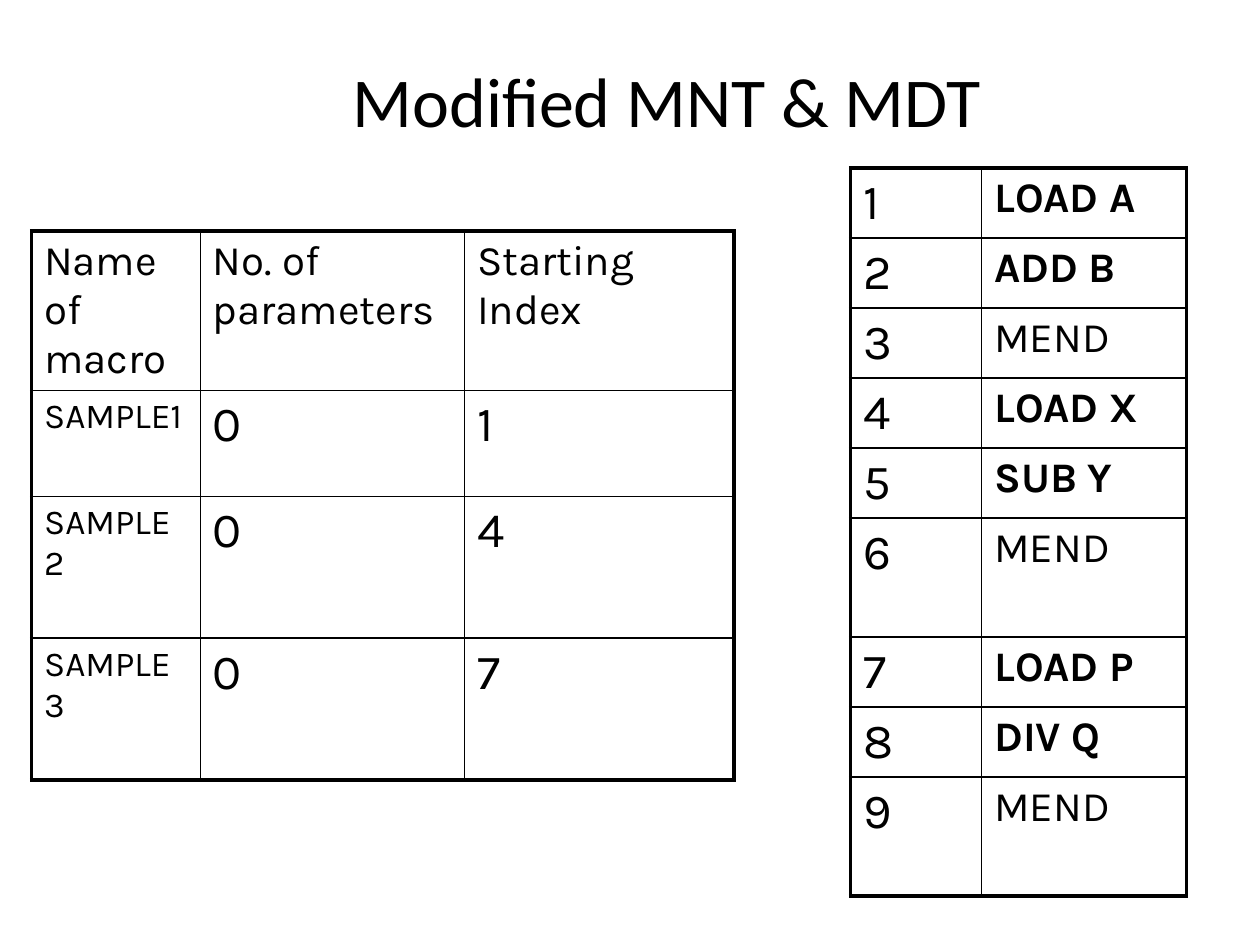
from lxml import etree
from pptx import Presentation
from pptx.dml.color import RGBColor
from pptx.enum.text import MSO_ANCHOR, PP_ALIGN
from pptx.oxml.ns import qn
from pptx.util import Pt

CENTER = PP_ALIGN.CENTER
MIDDLE = MSO_ANCHOR.MIDDLE
TITLE_ONLY = 5
COLORS = {"ink": "000000"}
OUTER_LINE, INNER_LINE = 2.21, 0.96
TITLE_FONT, TABLE_FONT = "Calibri", "Karla"
HEADING_SIZE, MACRO_SIZE, NUMBER_SIZE, CODE_SIZE = 24, 20, 28, 24

MACRO_NAMES = [
    ("Name of macro", "No. of parameters", "Starting Index"),
    ("SAMPLE1", "0", "1"),
    ("SAMPLE2", "0", "4"),
    ("SAMPLE3", "0", "7"),
]
DEFINITIONS = ["LOAD A", "ADD B", "MEND", "LOAD X", "SUB Y", "MEND",
               "LOAD P", "DIV Q", "MEND"]


def style_text(paragraph, font_name, size, bold=False):
    """Format every run of a paragraph."""
    for run in paragraph.runs:
        run.font.name = font_name
        run.font.size = Pt(size)
        run.font.bold = bold
        run.font.color.rgb = RGBColor.from_string(COLORS["ink"])


def add_title(slide, wording):
    """Fill and place the title placeholder."""
    title = slide.shapes.title
    title.left, title.top, title.width, title.height = Pt(84), Pt(24), Pt(594), Pt(66)
    title.text_frame.text = wording
    title.text_frame.vertical_anchor = MIDDLE
    heading = title.text_frame.paragraphs[0]
    heading.alignment = CENTER
    style_text(heading, TITLE_FONT, 40)


def set_borders(cell, outer_sides):
    """Draw thick lines on outer sides and thin lines elsewhere."""
    properties = cell._tc.get_or_add_tcPr()
    for side in "LRTB":
        weight = OUTER_LINE if side in outer_sides else INNER_LINE
        line = etree.SubElement(properties, qn(f"a:ln{side}"), w=str(Pt(weight)))
        fill = etree.SubElement(line, qn("a:solidFill"))
        etree.SubElement(fill, qn("a:srgbClr"), val=COLORS["ink"])


def add_grid(slide, left, top, widths, heights, rows, text_style):
    """Add a bordered table; text_style gives size and bold for each cell."""
    grid = slide.shapes.add_table(len(heights), len(widths), Pt(left), Pt(top),
                                  Pt(sum(widths)), Pt(sum(heights))).table
    grid.first_row = grid.horz_banding = False
    for column, width in zip(grid.columns, widths):
        column.width = Pt(width)
    for r, (height, entries) in enumerate(zip(heights, rows)):
        grid.rows[r].height = Pt(height)
        for c, entry in enumerate(entries):
            cell = grid.cell(r, c)
            edges = {"L": c == 0, "R": c == len(widths) - 1,
                     "T": r == 0, "B": r == len(heights) - 1}
            set_borders(cell, [side for side, outer in edges.items() if outer])
            cell.fill.background()
            cell.text_frame.text = entry
            paragraph = cell.text_frame.paragraphs[0]
            size, bold = text_style(r, c, entry)
            paragraph.space_before = Pt(size * 0.2)
            style_text(paragraph, TABLE_FONT, size, bold)


def macro_name_style(row, column, entry):
    """Give the text size and weight in the macro name table."""
    if row == 0:
        return HEADING_SIZE, False
    return (MACRO_SIZE if column == 0 else NUMBER_SIZE), False


def definition_style(row, column, entry):
    """Give the text size and weight in the macro definition table."""
    if column == 0:
        return NUMBER_SIZE, False
    return CODE_SIZE, entry != "MEND"


def main():
    """Build the slide and save it."""
    deck = Presentation()
    deck.slide_width, deck.slide_height = Pt(720), Pt(540)
    slide = deck.slides.add_slide(deck.slide_layouts[TITLE_ONLY])
    add_title(slide, "Modified MNT & MDT")
    add_grid(slide, 18, 132, [96.5, 151, 154], [91, 60.5, 81, 81],
             MACRO_NAMES, macro_name_style)
    numbered = [(str(i), code) for i, code in enumerate(DEFINITIONS, 1)]
    heights = [68 if i in (6, 9) else 40 for i in range(1, 10)]
    add_grid(slide, 486, 96, [75, 117], heights, numbered, definition_style)
    deck.save("out.pptx")


if __name__ == "__main__":
    main()
